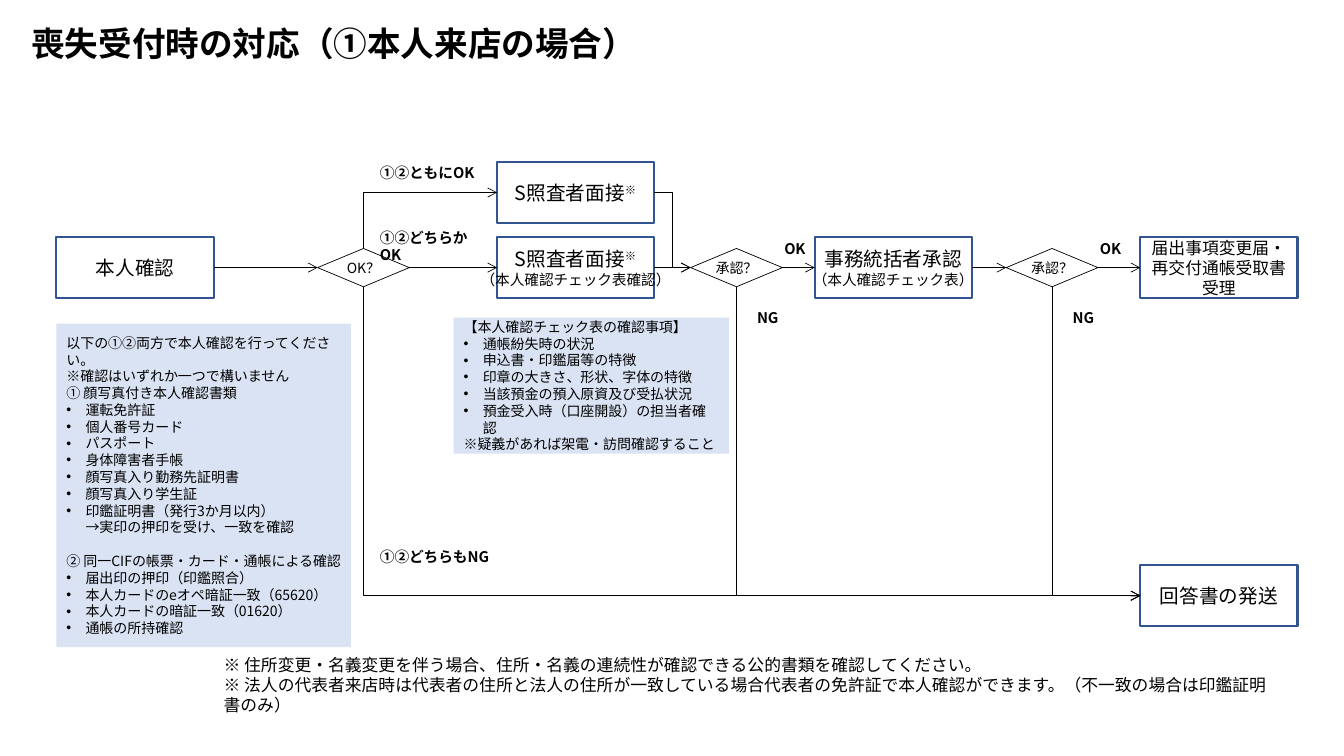
import copy
import pptx
import pptx.dml.color
import pptx.enum.shapes
import pptx.enum.text
import pptx.oxml.ns
import pptx.util
from lxml import etree

Inches, Pt = pptx.util.Inches, pptx.util.Pt
SHAPES = pptx.enum.shapes.MSO_SHAPE
CONNECTORS = pptx.enum.shapes.MSO_CONNECTOR
ALIGN = pptx.enum.text.PP_ALIGN
qn = pptx.oxml.ns.qn

THEME = {
    "font": "Noto Sans CJK JP",
    "text": pptx.dml.color.RGBColor.from_string("000000"),
    "border": pptx.dml.color.RGBColor.from_string("325491"),
    "paper": pptx.dml.color.RGBColor.from_string("FFFFFF"),
    "panel": pptx.dml.color.RGBColor.from_string("DAE3F3"),
    "title": 24, "step": 14, "note": 12, "label": 10.5, "detail": 10,
}

# Flow grid: left edges of the columns and centre lines of the rows, in inches
COLUMNS = {"identify": 0.56, "check": 3.15, "interview": 4.93, "approve": 6.85,
           "manager": 8.08, "confirm": 9.98, "finish": 11.31}
ROWS = {"upper": 1.91, "main": 2.655, "reply": 5.91}
STEP_SIZE = (1.56, 0.61)
DECISION_SIZE = (0.91, 0.38)
BULLET_INDENT = Inches(0.19)
LINE_PITCH = 1.2


def write(shape, lines, align=ALIGN.LEFT, bold=False, wrap=True):
    """Fill a shape with (text, size) lines; a leading • makes a bullet, a final ※ is raised."""
    frame = shape.text_frame
    frame.word_wrap = wrap
    frame.vertical_anchor = pptx.enum.text.MSO_ANCHOR.MIDDLE
    for index, (text, size) in enumerate(lines):
        para = frame.add_paragraph() if index else frame.paragraphs[0]
        para.text = text.removeprefix("•").removesuffix("※")
        para.alignment = align
        para.line_spacing = Pt(size * LINE_PITCH)
        if text.startswith("•"):
            properties = para._p.get_or_add_pPr()
            properties.set("marL", str(BULLET_INDENT))
            properties.set("indent", str(-BULLET_INDENT))
            etree.SubElement(properties, qn("a:buFont"), typeface="Arial")
            etree.SubElement(properties, qn("a:buChar"), char="•")
        if text.endswith("※"):
            mark = para.add_run()
            mark.text = "※"
            mark._r.get_or_add_rPr().set("baseline", "30000")
        for span in para.runs:
            span.font.size, span.font.bold = Pt(size), bold
            span.font.color.rgb = THEME["text"]
            span.font.name = THEME["font"]
            etree.SubElement(span._r.get_or_add_rPr(), qn("a:ea"), typeface=THEME["font"])
        for line_break in para._p.findall(qn("a:br")):
            line_break.append(copy.deepcopy(para.runs[0]._r.get_or_add_rPr()))


def add_box(kind, left, top, width, height, fill=None, line=None, line_width=0.5):
    box = page.shapes.add_shape(kind, Inches(left), Inches(top), Inches(width), Inches(height))
    box.shadow.inherit = False
    if fill is None:
        box.fill.background()
    else:
        box.fill.solid()
        box.fill.fore_color.rgb = fill
    if line is None:
        box.line.fill.background()
    else:
        box.line.color.rgb = line
        box.line.width = Pt(line_width)
    return box


deck = pptx.Presentation()
deck.slide_width, deck.slide_height = Inches(13.33), Inches(7.5)
page = deck.slides.add_slide(deck.slide_layouts[5])

title = page.shapes.title
title.left, title.top, title.width, title.height = map(Inches, (0.21, 0.11, 11.5, 0.68))
write(title, [("喪失受付時の対応（①本人来店の場合）", THEME["title"])], bold=True)
title.text_frame.paragraphs[0].line_spacing = 0.9

# Steps: name, column, row, lines, wrap
step, note, label, detail = (THEME[size] for size in ("step", "note", "label", "detail"))
steps = [
    ("identify", "identify", "main", [("本人確認", step)], True),
    ("interview", "interview", "upper", [("S照査者面接※", step)], True),
    ("interview with list", "interview", "main",
     [("S照査者面接※", step), ("（本人確認チェック表確認）", label)], False),
    ("manager", "manager", "main",
     [("事務統括者承認", step), ("（本人確認チェック表）", label)], False),
    ("accept", "finish", "main",
     [("届出事項変更届・", note), ("再交付通帳受取書受理", note)], True),
    ("reply", "finish", "reply", [("回答書の発送", step)], True),
]
nodes = {}
for name, column, row, lines, wrap in steps:
    width, height = STEP_SIZE
    nodes[name] = add_box(SHAPES.RECTANGLE, COLUMNS[column], ROWS[row] - height / 2,
                          width, height, THEME["paper"], THEME["border"], 1.5)
    write(nodes[name], lines, ALIGN.CENTER, wrap=wrap)

for name, text in (("check", "OK？"), ("approve", "承認？"), ("confirm", "承認？")):
    width, height = DECISION_SIZE
    nodes[name] = add_box(SHAPES.FLOWCHART_DECISION, COLUMNS[name], ROWS["main"] - height / 2,
                          width, height, line=THEME["text"])
    write(nodes[name], [(text, detail)], ALIGN.CENTER, wrap=False)

# Arrows: from, side, to, preset; sides count 0 top, 1 left, 2 bottom, 3 right
arrows = [
    ("identify", 3, "check", "line"),
    ("check", 3, "interview with list", "line"),
    ("interview with list", 3, "approve", "line"),
    ("approve", 3, "manager", "line"),
    ("manager", 3, "confirm", "line"),
    ("confirm", 3, "accept", "line"),
    ("interview", 3, "approve", "elbow"),
    ("check", 0, "interview", "corner"),
    ("check", 2, "reply", "corner"),
    ("approve", 2, "reply", "corner"),
    ("confirm", 2, "reply", "corner"),
]
for source, side, target, route in arrows:
    kind = CONNECTORS.STRAIGHT if route == "line" else CONNECTORS.ELBOW
    arrow = page.shapes.add_connector(kind, 0, 0, 0, 0)
    arrow.begin_connect(nodes[source], side)
    arrow.end_connect(nodes[target], 1)
    properties = arrow._element.spPr
    if route == "corner":
        across = arrow.end_x - arrow.begin_x
        down = arrow.end_y - arrow.begin_y
        middle_x = (arrow.begin_x + arrow.end_x) // 2
        middle_y = (arrow.begin_y + arrow.end_y) // 2
        arrow.width, arrow.height = abs(down), across
        arrow.left, arrow.top = middle_x - abs(down) // 2, middle_y - across // 2
        frame = properties.find(qn("a:xfrm"))
        frame.set("rot", "16200000")
        frame.set("flipH", "1" if down > 0 else "0")
        frame.set("flipV", "0")
        properties.find(qn("a:prstGeom")).set("prst", "bentConnector2")
    arrow.line.color.rgb = THEME["text"]
    arrow.line.width = Pt(0.5)
    etree.SubElement(properties.find(qn("a:ln")), qn("a:tailEnd"), type="arrow")
    etree.SubElement(properties, qn("a:effectLst"))

identity_lines = [
    "以下の①②両方で本人確認を行ってください。",
    "※確認はいずれか一つで構いません\n① 顔写真付き本人確認書類",
    "•運転免許証", "•個人番号カード", "•パスポート", "•身体障害者手帳",
    "•顔写真入り勤務先証明書", "•顔写真入り学生証",
    "•印鑑証明書（発行3か月以内）\n→実印の押印を受け、一致を確認",
    "② 同一CIFの帳票・カード・通帳による確認",
    "•届出印の押印（印鑑照合）", "•本人カードのeオペ暗証一致（65620）",
    "•本人カードの暗証一致（01620）", "•通帳の所持確認",
]
checklist_lines = [
    "【本人確認チェック表の確認事項】", "•通帳紛失時の状況", "•申込書・印鑑届等の特徴",
    "•印章の大きさ、形状、字体の特徴", "•当該預金の預入原資及び受払状況",
    "•預金受入時（口座開設）の担当者確認", "※疑義があれば架電・訪問確認すること",
]
for place, lines in (((0.56, 3.21, 2.92, 3.21), identity_lines),
                     ((4.5, 3.15, 2.73, 1.35), checklist_lines)):
    panel = add_box(SHAPES.RECTANGLE, *place, fill=THEME["panel"])
    write(panel, [(text, detail) for text in lines])
    for para in panel.text_frame.paragraphs:
        if para.text.startswith("②"):
            para.space_before = Pt(detail * LINE_PITCH)

answers = [
    ("①②ともにOK", 3.67, 1.55, 1.17), ("①②どちらかOK", 3.67, 2.28, 1.17),
    ("①②どちらもNG", 3.67, 5.36, 1.31),
]
for decision in ("approve", "confirm"):
    answers.append(("OK", COLUMNS[decision] + 0.75 + 0.08, 2.31, 0.65))
    answers.append(("NG", COLUMNS[decision] + 0.56, 2.99, 0.65))
for text, left, top, width in answers:
    box = page.shapes.add_textbox(Inches(left), Inches(top), Inches(width), Inches(0.32))
    write(box, [(text, label)], bold=True)

remarks = page.shapes.add_textbox(Inches(2.12), Inches(6.56), Inches(10.61), Inches(0.47))
write(remarks, [
    ("※ 住所変更・名義変更を伴う場合、住所・名義の連続性が確認できる公的書類を確認してください。", note),
    ("※ 法人の代表者来店時は代表者の住所と法人の住所が一致している場合代表者の免許証で本人確認ができます。"
     "（不一致の場合は印鑑証明書のみ）", note),
])

deck.save("out.pptx")
